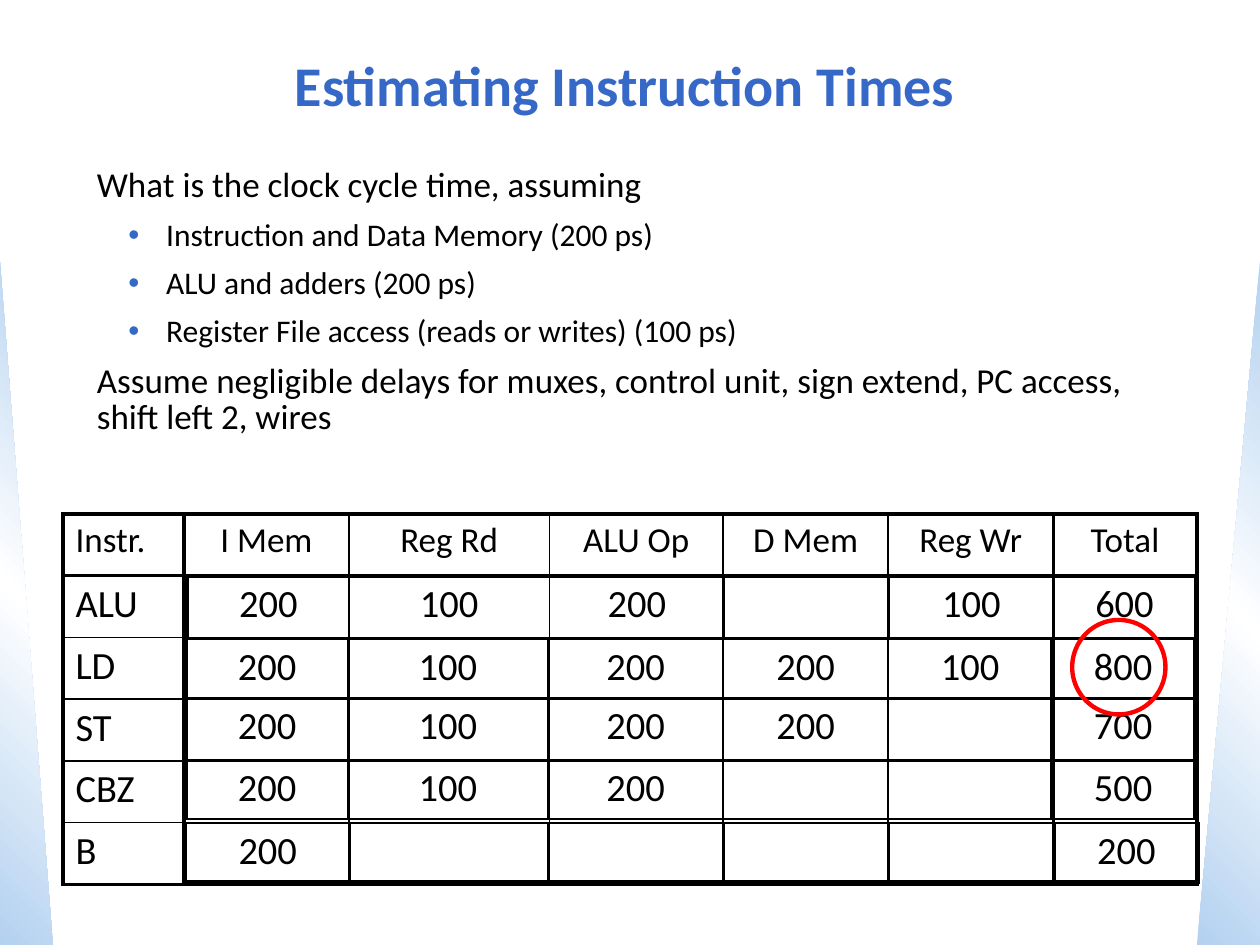
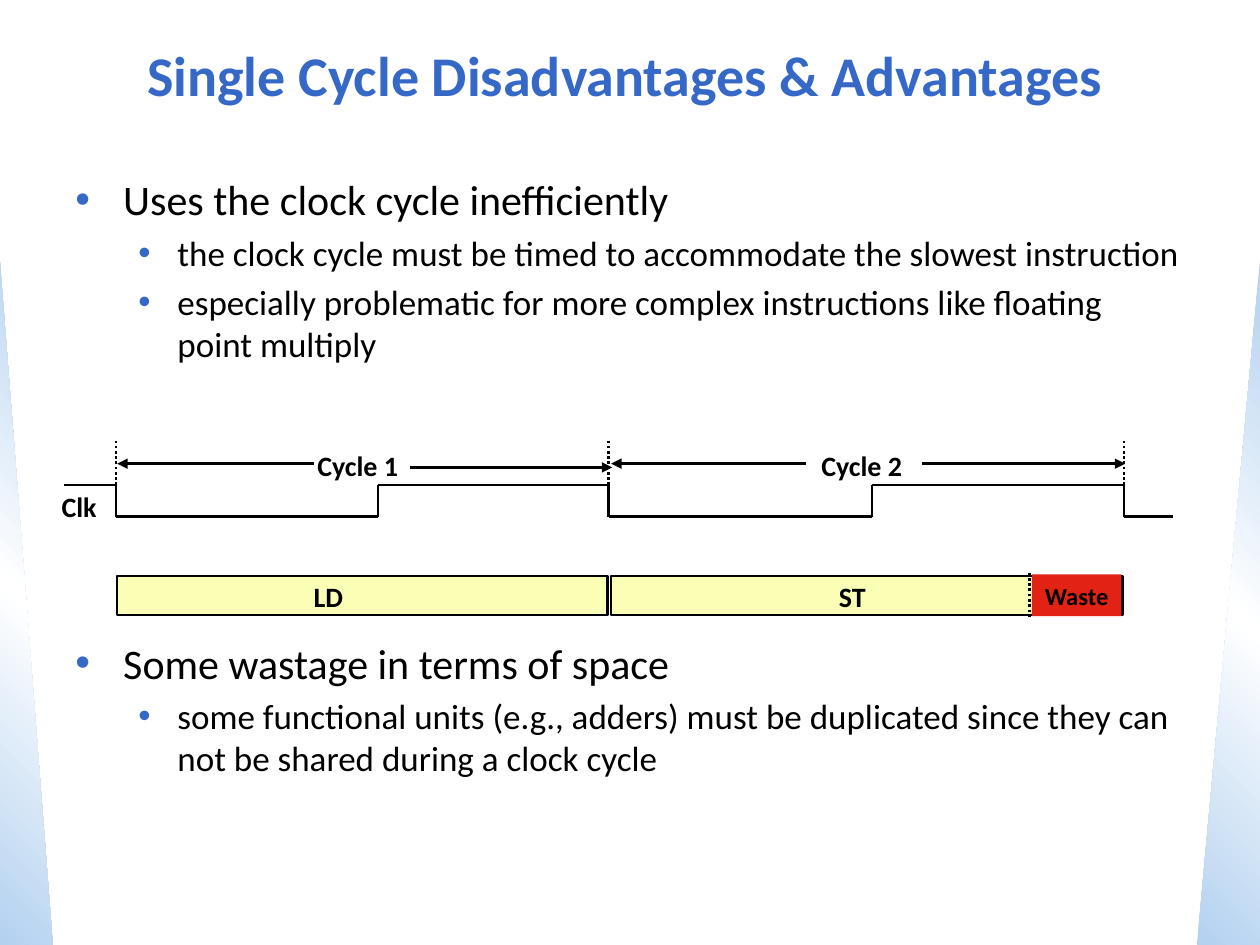
import pptx
import pptx.util
import pptx.oxml
import pptx.oxml.ns
import pptx.dml.color
import pptx.enum.dml
import pptx.enum.shapes
import pptx.enum.text
import lxml.etree

FONT = "Calibri"
BLUE, SKY, BLACK, WHITE = "3568C7", "B3D1F0", "000000", "FFFFFF"
RED, WASTE, CREAM = "FF0000", "E12214", "FAFFB5"
WIDE = pptx.util.Inches(10)
HIGH = pptx.util.Inches(7.5)
ALIGN = pptx.enum.text.PP_ALIGN
MID = pptx.enum.text.MSO_ANCHOR.MIDDLE
SHAPE = pptx.enum.shapes.MSO_SHAPE
LINE = pptx.enum.shapes.MSO_CONNECTOR.STRAIGHT
DOTS = pptx.enum.dml.MSO_LINE.ROUND_DOT
SPACE = pptx.oxml.ns.nsdecls("a")


def unit(count):
    return round(WIDE * count / 10)


def box(*counts):
    return [unit(count) for count in counts]


def tint(code):
    return pptx.dml.color.RGBColor.from_string(code)


def node(parent, tag, **attrs):
    return lxml.etree.SubElement(parent, pptx.oxml.ns.qn(tag), attrs)


def style(para, size, bold=False, color=BLACK, align=ALIGN.LEFT):
    para.alignment = align
    para.font.name = FONT
    para.font.size = pptx.util.Pt(size)
    para.font.bold = bold
    para.font.color.rgb = tint(color)


def form(slide, kind, place, fill=None, edge=None, width=1.5):
    shape = slide.shapes.add_shape(kind, *box(*place))
    shape.shadow.inherit = False
    if fill:
        shape.fill.solid()
        shape.fill.fore_color.rgb = tint(fill)
    else:
        shape.fill.background()
    if edge:
        shape.line.color.rgb = tint(edge)
        shape.line.width = pptx.util.Pt(width)
    else:
        shape.line.fill.background()
    return shape


def wedge(slide, layout, place, angle, flip):
    shape = form(slide, SHAPE.RIGHT_TRIANGLE, place)
    props = shape.element.spPr
    props.remove(props.find(pptx.oxml.ns.qn("a:noFill")))
    stops = "".join(
        f'<a:gs pos="{spot * 1000}"><a:srgbClr val="{color}"/></a:gs>'
        for spot, color in ((0, SKY), (50, WHITE), (100, SKY)))
    props.insert(2, pptx.oxml.parse_xml(
        f'<a:gradFill {SPACE} rotWithShape="1"><a:gsLst>{stops}</a:gsLst>'
        f'<a:lin ang="{angle * 60000}" scaled="0"/></a:gradFill>'))
    if flip:
        props.xfrm.set("flipH", "1")
    layout.shapes.element.insert(2, shape.element)


def title(slide, text, top):
    head = slide.shapes.title
    head.left, head.top, head.width, head.height = box(0.25, top, 9.42, 0.83)
    frame = head.text_frame
    frame.text = text
    frame.vertical_anchor = MID
    style(frame.paragraphs[0], 32, True, BLUE, ALIGN.CENTER)


def label(slide, text, place):
    frame = slide.shapes.add_textbox(*box(*place)).text_frame
    frame.word_wrap = False
    frame.text = text
    style(frame.paragraphs[0], 16, True)


def dot(para, left, hang):
    props = para._p.get_or_add_pPr()
    props.set("marL", str(unit(left)))
    props.set("indent", str(-unit(hang)))
    node(node(props, "a:buClr"), "a:srgbClr", val=BLUE)
    node(props, "a:buFont", typeface="Arial")
    node(props, "a:buChar", char="•")


def prose(slide, place, lines, dots):
    frame = slide.shapes.add_textbox(*box(*place)).text_frame
    frame.word_wrap = True
    for row, (level, text, size, before, pitch) in enumerate(lines):
        para = frame.add_paragraph() if row else frame.paragraphs[0]
        para.text = text
        para.level = level
        style(para, size)
        para.line_spacing = pitch
        para.space_before = pptx.util.Pt(before)
        if level in dots:
            dot(para, *dots[level])


def border(cell, sides):
    props = cell._tc.get_or_add_tcPr()
    for spot, (side, heavy) in enumerate(zip("LRTB", sides)):
        width = pptx.util.Pt(2.25 if heavy else 1)
        props.insert(spot, pptx.oxml.parse_xml(
            f'<a:ln{side} {SPACE} w="{width}"><a:solidFill>'
            f'<a:srgbClr val="{BLACK}"/></a:solidFill></a:ln{side}>'))


def grid(slide, left, top, cols, tall, cells, thick, bold):
    rows = len(cells)
    table = slide.shapes.add_table(
        rows, len(cols), *box(left, top, sum(cols), tall * rows)).table
    table.first_row = table.horz_banding = False
    for col, width in enumerate(cols):
        table.columns[col].width = unit(width)
    for row, texts in enumerate(cells):
        for col, text in enumerate(texts):
            cell = table.cell(row, col)
            cell.fill.background()
            border(cell, (col in thick, col + 1 in thick,
                          row in bold, row + 1 in bold))
            cell.text = text
            para = cell.text_frame.paragraphs[0]
            para.line_spacing = 0.95
            name = text.isalpha()
            style(para, 22 if name or text.isdigit() else 20,
                  align=ALIGN.LEFT if name else ALIGN.CENTER)
    return table


def rule(slide, start, end, dash=None, arrow=False):
    line = slide.shapes.add_connector(LINE, *box(*start, *end))
    line.line.color.rgb = tint(BLACK)
    line.line.width = pptx.util.Pt(1.5)
    if dash:
        line.line.dash_style = dash
    if arrow:
        node(line.line._get_or_add_ln(), "a:headEnd", type="triangle")
    node(line.element.spPr, "a:effectLst")


def times(slide):
    title(slide, "Estimating Instruction Times", 0.25)
    heads = ["Instr.", "I Mem", "Reg Rd", "ALU Op", "D Mem", "Reg Wr", "Total"]
    names = ["ALU", "LD", "ST", "CBZ", "B"]
    main = grid(slide, 0.5, 4.08, [0.96, 1.31, 1.59, 1.38, 1.31, 1.31, 1.14],
                0.49, [heads] + [[name] + [""] * 6 for name in names],
                (0, 1, 6, 7), (0, 1, 6))
    for col in range(len(heads)):
        style(main.cell(0, col).text_frame.paragraphs[0], 20,
              align=ALIGN.CENTER if col else ALIGN.LEFT)
    cols = [1.28, 1.59, 1.39, 1.31, 1.3, 1.13]
    last = [1.31, 1.57, 1.4, 1.31, 1.31, 1.14]
    rows = [
        (1.49, 4.57, 0.5, cols, ["200", "100", "200", "", "100", "600"], [0]),
        (1.48, 5.07, 0.47, cols, ["200", "100", "200", "200", "100", "800"], []),
        (1.48, 5.54, 0.5, cols, ["200", "100", "200", "200", "", "700"], []),
        (1.48, 6.03, 0.47, cols, ["200", "100", "200", "", "", "500"], []),
        (1.47, 6.53, 0.47, last, ["200", "", "", "", "", "200"], [1]),
    ]
    for left, top, tall, widths, texts, bold in rows:
        grid(slide, left, top, widths, tall, [texts], (0, 5, 6), bold)
    prose(slide, (0.67, 1.28, 8.58, 2.38), [
        (0, "What is the clock cycle time, assuming", 20, 0, 0.9),
        (1, "Instruction and Data Memory (200 ps)", 18, 9, 0.85),
        (1, "ALU and adders (200 ps)", 18, 9, 0.85),
        (1, "Register File access (reads or writes) (100 ps)", 18, 9, 0.85),
        (0, "Assume negligible delays for muxes, control unit, sign extend, "
            "PC access, shift left 2, wires", 20, 9, 0.85),
    ], {1: (0.55, 0.3)})
    form(slide, SHAPE.OVAL, (8.51, 4.92, 0.74, 0.75), edge=RED, width=2.5)


def clock(slide):
    upper, lower = 3.85, 4.1
    edges = [0.51, 0.92, 3, 4.83, 6.92, 8.92, 9.31]
    for step, (left, right) in enumerate(zip(edges, edges[1:])):
        level = lower if step % 2 else upper
        rule(slide, (left, level), (right, level))
    for edge in edges[1:-1]:
        rule(slide, (edge, upper), (edge, lower))
    for edge in edges[1:-1:2]:
        rule(slide, (edge, upper), (edge, 3.5), DOTS)
    for start, end, level in ((0.93, 2.49, 3.68), (4.86, 3.25, 3.71),
                              (4.85, 6.4, 3.68), (8.93, 7.32, 3.68)):
        rule(slide, (start, level), (end, level), arrow=True)
    for left, width in ((0.93, 3.89), (4.85, 4.06)):
        form(slide, SHAPE.RECTANGLE, (left, 4.57, width, 0.31), CREAM, BLACK)
    for text, left, top, width in (
            ("Clk", 0.39, 3.84, 0.48), ("LD", 2.39, 4.55, 0.5),
            ("ST", 6.56, 4.55, 0.49), ("Cycle 1", 2.42, 3.51, 0.85),
            ("Cycle 2", 6.42, 3.51, 0.85)):
        label(slide, text, (left, top, width, 0.37))
    rule(slide, (8.17, 4.9), (8.17, 4.54), DOTS)
    waste = form(slide, SHAPE.RECTANGLE, (8.19, 4.56, 0.71, 0.33), WASTE)
    waste.text_frame.text = "Waste"
    waste.text_frame.vertical_anchor = MID
    style(waste.text_frame.paragraphs[0], 14, True, align=ALIGN.CENTER)


def merits(slide):
    title(slide, "Single Cycle Disadvantages & Advantages", 0.17)
    prose(slide, (0.5, 1.33, 9, 5.58), [
        (0, "Uses the clock cycle inefficiently", 24, 0, 1.0),
        (1, "the clock cycle must be timed to accommodate the slowest "
            "instruction", 20, 4, 1.0),
        (1, "especially problematic for more complex instructions like "
            "floating point multiply", 20, 4, 1.0),
        (0, "Some wastage in terms of space", 24, 156, 1.0),
        (1, "some functional units (e.g., adders) must be duplicated since "
            "they can not be shared during a clock cycle", 20, 4, 1.0),
    ], {0: (0.38, 0.38), 1: (0.81, 0.31)})
    clock(slide)


def main():
    deck = pptx.Presentation()
    deck.slide_width, deck.slide_height = WIDE, HIGH
    layout = deck.slide_layouts[5]
    first, second = [deck.slides.add_slide(layout) for _ in range(2)]
    wedge(first, layout, (0, 2.08, 0.42, 5.42), 315, False)
    wedge(first, layout, (9.5, 2.08, 0.5, 5.42), 45, True)
    times(first)
    merits(second)
    deck.save("out.pptx")


if __name__ == "__main__":
    main()
